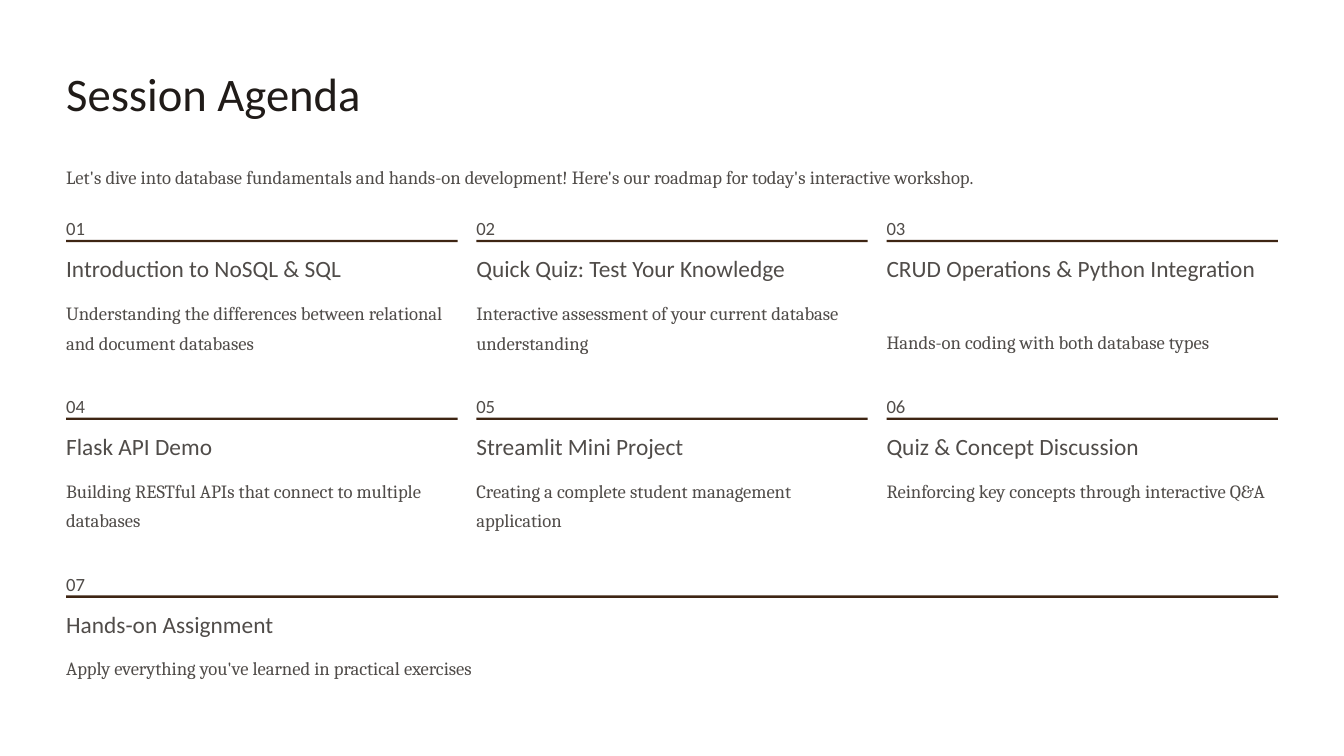
import pptx
import pptx.dml.color
import pptx.enum.shapes
import pptx.enum.text
import pptx.util

Pt = pptx.util.Pt
RGBColor = pptx.dml.color.RGBColor

DARK = RGBColor(0x20, 0x1B, 0x18)
GREY = RGBColor(0x50, 0x4C, 0x49)
BROWN = RGBColor(0x3E, 0x25, 0x13)
SANS, SERIF = "Calibri", "Cambria"

# Page grid, in points
LEFT, TOP = 56.7, 179.8
FULL, WIDE = 1038.8, 335.5
STEP, ROW = 351.6, 152.4
COLS = 3

ITEMS = [
    ("Introduction to NoSQL & SQL",
     "Understanding the differences between relational and document databases"),
    ("Quick Quiz: Test Your Knowledge",
     "Interactive assessment of your current database understanding"),
    ("CRUD Operations & Python Integration",
     "Hands-on coding with both database types"),
    ("Flask API Demo",
     "Building RESTful APIs that connect to multiple databases"),
    ("Streamlit Mini Project",
     "Creating a complete student management application"),
    ("Quiz & Concept Discussion",
     "Reinforcing key concepts through interactive Q&A"),
    ("Hands-on Assignment",
     "Apply everything you've learned in practical exercises"),
]
# Extra heading height for the item with a two-line heading box
EXTRA = {2: 25.2}


def write(shape, text, font=SERIF, size=16, color=GREY, lead=25.5):
    frame = shape.text_frame
    frame.word_wrap = True
    frame.auto_size = pptx.enum.text.MSO_AUTO_SIZE.NONE
    frame.vertical_anchor = pptx.enum.text.MSO_ANCHOR.TOP
    frame.margin_left = frame.margin_right = 0
    frame.margin_top = frame.margin_bottom = 0
    para = frame.paragraphs[0]
    para.alignment = pptx.enum.text.PP_ALIGN.LEFT
    para.line_spacing = Pt(lead)
    run = para.add_run()
    run.text = text
    run.font.name = font
    run.font.size = Pt(size)
    run.font.color.rgb = color


class Deck:
    def __init__(self):
        self.show = pptx.Presentation()
        self.show.slide_width = Pt(1152)
        self.show.slide_height = Pt(648)
        self.slide = self.show.slides.add_slide(self.show.slide_layouts[5])

    def title(self, text, x, y, w, h):
        shape = self.slide.shapes.title
        shape.left, shape.top = Pt(x), Pt(y)
        shape.width, shape.height = Pt(w), Pt(h)
        write(shape, text, font=SANS, size=40, color=DARK, lead=50.5)

    def text(self, text, x, y, w, h, **style):
        box = self.slide.shapes.add_textbox(Pt(x), Pt(y), Pt(w), Pt(h))
        write(box, text, **style)

    def rule(self, x, y, w):
        bar = self.slide.shapes.add_shape(
            pptx.enum.shapes.MSO_SHAPE.RECTANGLE, Pt(x), Pt(y), Pt(w), Pt(2))
        bar.shadow.inherit = False
        bar.fill.solid()
        bar.fill.fore_color.rgb = BROWN
        bar.line.fill.background()

    def item(self, num, head, body, x, y, w, extra=0):
        self.text(f"{num:02}", x, y, w, 20.2, font=SANS)
        self.rule(x, y + 25.8, w)
        self.text(head, x, y + 37.3, w, 25.2 + extra,
                  font=SANS, size=20, lead=25)
        self.text(body, x, y + 72.4 + extra, w, 51.8 - extra)


def main():
    deck = Deck()

    # Heading and introduction
    deck.title("Session Agenda", LEFT, 53.3, FULL, 50.4)
    deck.text("Let's dive into database fundamentals and hands-on development! "
              "Here's our roadmap for today's interactive workshop.",
              LEFT, 136.1, FULL, 25.9)

    # Agenda grid; the last item spans the page
    for i, (head, body) in enumerate(ITEMS):
        row, col = divmod(i, COLS)
        wide = FULL if i == len(ITEMS) - 1 else WIDE
        deck.item(i + 1, head, body, LEFT + col * STEP, TOP + row * ROW,
                  wide, EXTRA.get(i, 0))

    deck.show.save("out.pptx")


if __name__ == "__main__":
    main()
